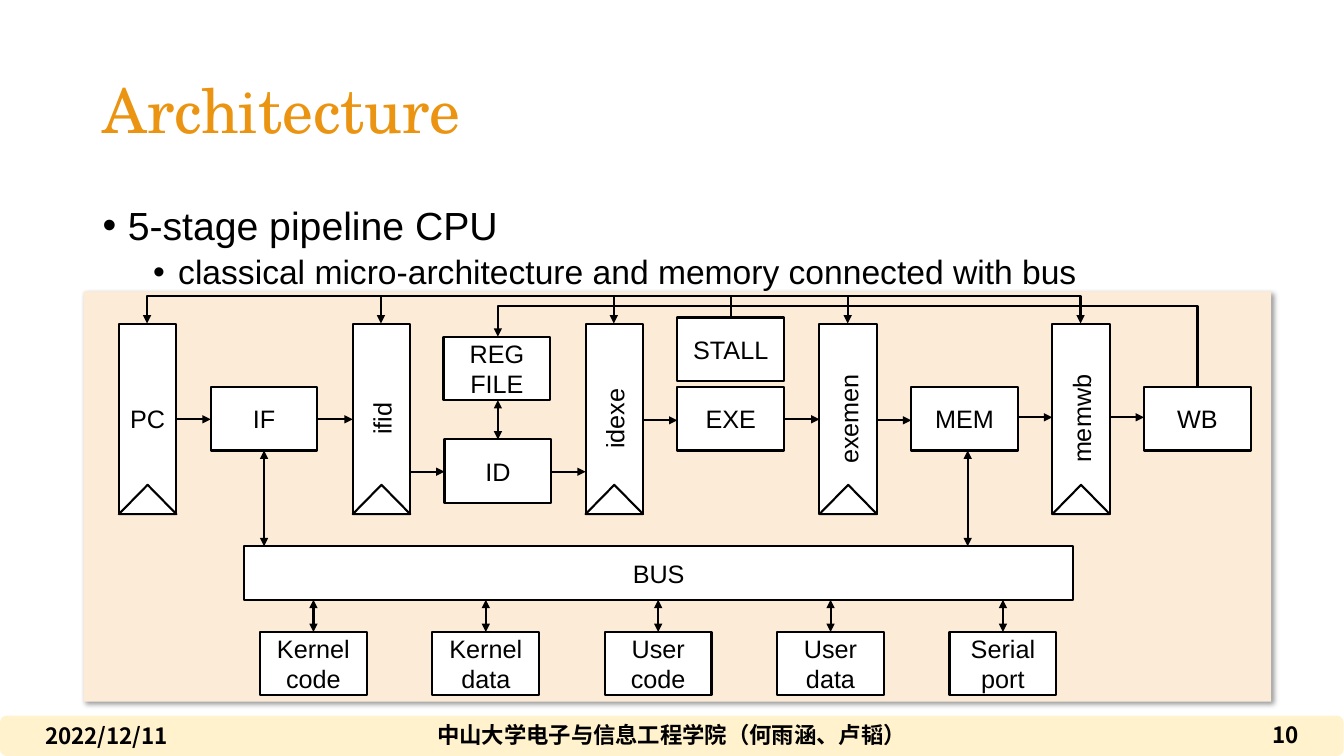
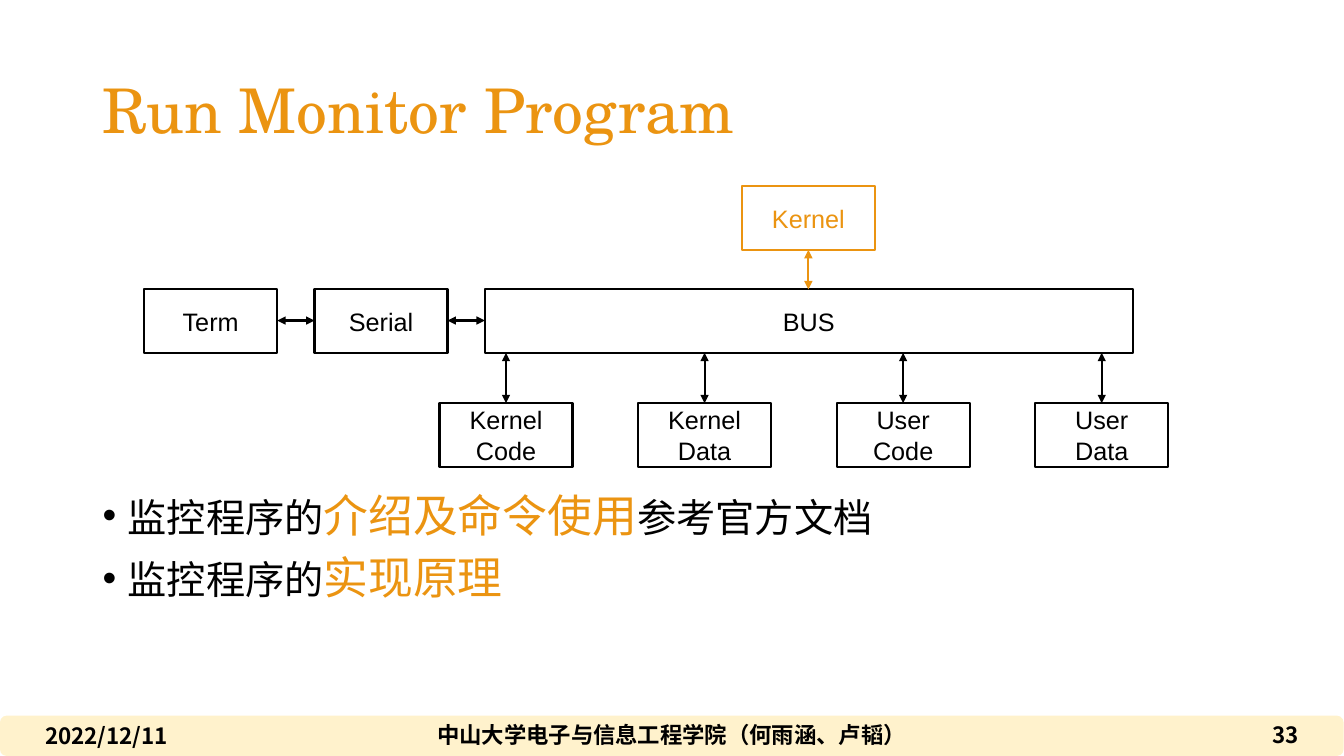
"""Build two slides on a pipeline CPU and its monitor program."""
from lxml.etree import SubElement
from pptx import Presentation
from pptx.dml.color import RGBColor
from pptx.enum.shapes import MSO_CONNECTOR, MSO_SHAPE
from pptx.enum.text import MSO_ANCHOR, MSO_AUTO_SIZE, PP_ALIGN
from pptx.oxml.ns import qn
from pptx.util import Pt

PX = 9144
BLACK, WHITE, GOLD, CREAM, PEACH = "000000", "FFFFFF", "EB9411", "FFF2CC", "FCEBD7"
SANS, HAN, SERIF = "Arial", "Noto Sans CJK SC", "TeX Gyre Schola"
LEFT, MID, RIGHT = PP_ALIGN.LEFT, PP_ALIGN.CENTER, PP_ALIGN.RIGHT

DATE = "2022/12/11"
SCHOOL = "中山大学电子与信息工程学院（何雨涵、卢韬）"

CPU_LIST = [
    (0, ["5-stage pipeline CPU"]),
    (1, ["classical micro-architecture and memory connected with bus"]),
]
LATCHES = ["PC", "ifid", "idexe", "exemen", "memwb"]
STAGES = [
    ("IF", 384, 416, 416),
    ("ID", 436, 468, 468),
    ("EXE", 384, 417, 416),
    ("MEM", 384, 417, 414),
    ("WB", 384, 414, None),
]
STORES = [["Kernel", "code"], ["Kernel", "data"], ["User", "code"],
          ["User", "data"], ["Serial", "port"]]

BIG = {"size": 32, "color": GOLD}
RUN_LIST = [
    (0, ["监控程序的", ("介绍及命令使用", BIG), "参考官方文档"]),
    (0, ["监控程序的", ("实现原理", BIG)]),
]
PARTS = [["Kernel Code"], ["Kernel Data"], ["User", "Code"], ["User", "Data"]]


def px(*nums):
    return [round(n * PX) for n in nums]


def rgb(code):
    return RGBColor.from_string(code)


def write(shape, paras, size=18, color=BLACK, font=SANS, bold=False,
          align=MID, inset=(10, 5), space=None):
    frame = shape.text_frame
    frame.word_wrap = True
    frame.auto_size = MSO_AUTO_SIZE.NONE
    frame.vertical_anchor = MSO_ANCHOR.MIDDLE
    frame.margin_left = frame.margin_right = inset[0] * PX
    frame.margin_top = frame.margin_bottom = inset[1] * PX
    for i, runs in enumerate(paras):
        para = frame.add_paragraph() if i else frame.paragraphs[0]
        para.alignment = align
        para.line_spacing = space
        for item in [runs] if isinstance(runs, str) else runs:
            words, style = (item, {}) if isinstance(item, str) else item
            run = para.add_run()
            run.text = words
            run.font.size = Pt(style.get("size", size))
            run.font.bold = bold
            run.font.color.rgb = rgb(style.get("color", color))
            run.font.name = font
            SubElement(run.font._element, qn("a:ea"), typeface=HAN)
    return frame


def label(slide, at, paras, **style):
    return write(slide.shapes.add_textbox(*px(*at)), paras, **style)


def bullets(slide, at, items):
    frame = label(slide, at, [runs for _, runs in items], size=28,
                  align=LEFT, space=0.9)
    frame.vertical_anchor = MSO_ANCHOR.TOP
    for (level, _), para in zip(items, frame.paragraphs):
        para.level = level
        para.space_before = Pt(5 if level else 10)
        if level:
            for run in para.runs:
                run.font.size = Pt(24)
        props = para._p.get_or_add_pPr()
        props.set("marL", str(px(25 + 50 * level)[0]))
        props.set("indent", str(px(-25)[0]))
        SubElement(props, qn("a:buFont"), typeface=SANS)
        SubElement(props, qn("a:buChar"), char="•")


def plate(slide, at, fill=WHITE, line=None, kind=MSO_SHAPE.RECTANGLE):
    shape = slide.shapes.add_shape(kind, *px(*at))
    shape.shadow.inherit = False
    shape.fill.solid()
    shape.fill.fore_color.rgb = rgb(fill)
    if line:
        shape.line.color.rgb = rgb(line)
        shape.line.width = Pt(1.5)
    else:
        shape.line.fill.background()
    return shape


def box(slide, at, paras, color=BLACK):
    shape = plate(slide, at, line=color)
    write(shape, paras, color=color, inset=(5, 5))
    return shape


def ink(wire, color=BLACK, both=False):
    wire.line.color.rgb = rgb(color)
    wire.line.width = Pt(1.5)
    line = wire.line._get_or_add_ln()
    for end in ["a:headEnd", "a:tailEnd"] if both else ["a:tailEnd"]:
        SubElement(line, qn(end), type="triangle")
    SubElement(wire.element.spPr, qn("a:effectLst"))


def link(slide, x1, y1, x2, y2, **style):
    wire = slide.shapes.add_connector(MSO_CONNECTOR.STRAIGHT, *px(x1, y1, x2, y2))
    ink(wire, **style)


def bend(slide, x1, y1, x2, y2, rail):
    mid_x, mid_y = (x1 + x2) / 2, (y1 + y2) / 2
    dx, dy = (x2 - x1) / 2, (y1 - y2) / 2
    ends = px(mid_x - dy, mid_y - dx, mid_x + dy, mid_y + dx)
    wire = slide.shapes.add_connector(MSO_CONNECTOR.ELBOW, *ends)
    props = wire.element.spPr
    props.find(qn("a:xfrm")).set("rot", "16200000")
    geom = props.find(qn("a:prstGeom"))
    rates = geom.find(qn("a:avLst"))
    if rates is None:
        rates = SubElement(geom, qn("a:avLst"))
    ratio = round((y1 - rail) / (y1 - y2) * 100000)
    SubElement(rates, qn("a:gd"), name="adj1", fmla=f"val {ratio}")
    ink(wire)


def latch(slide, x, name):
    body = box(slide, (x, 321, 57, 189), [name])
    if name != "PC":
        body.element.txBody.bodyPr.set("vert", "vert270")
    clock = plate(slide, (x, 481, 57, 29), line=BLACK,
                  kind=MSO_SHAPE.ISOSCELES_TRIANGLE)
    slide.shapes.add_group_shape([body, clock])


def shade(shape):
    effects = shape.element.spPr.find(qn("a:effectLst"))
    shadow = SubElement(effects, qn("a:outerShdw"), blurRad=str(Pt(4)),
                        dist=str(Pt(3)), dir="2700000", algn="tl", rotWithShape="0")
    tint = SubElement(shadow, qn("a:srgbClr"), val=BLACK)
    SubElement(tint, qn("a:alpha"), val="40000")


def start(deck, title, number):
    slide = deck.slides.add_slide(deck.slide_layouts[5])
    head = slide.shapes.title
    head.left, head.top, head.width, head.height = px(92, 40, 1150, 145)
    write(head, [title], size=44, color=GOLD, font=SERIF, align=LEFT, space=0.9)
    for at, words, align in [
        ((35, 710, 300, 40), DATE, LEFT),
        ((335, 709, 663, 40), SCHOOL, MID),
        ((998, 709, 300, 40), number, RIGHT),
    ]:
        label(slide, at, [words], size=16, font=HAN, bold=True, align=align)
    return slide


def cpu(slide):
    shade(plate(slide, (83, 289, 1178, 407), fill=PEACH))
    bullets(slide, (92, 200, 1150, 90), CPU_LIST)
    cols = [round(118 + 231.6 * i) for i in range(len(LATCHES))]
    for x, name in zip(cols, LATCHES):
        latch(slide, x, name)
    for i, (name, top, enter, leave) in enumerate(STAGES):
        x = cols[i] + 91
        box(slide, (x, top, 106, 63), [name])
        link(slide, cols[i] + 57, enter, x, enter)
        if leave:
            link(slide, x + 106, leave, cols[i + 1], leave)
    box(slide, (440, 334, 106, 63), ["REG", "FILE"])
    link(slide, 494, 436, 494, 397, both=True)
    box(slide, (242, 542, 823, 53), ["BUS"])
    for x in (262, 960):
        link(slide, x, 542, x, 447, both=True)
    for i, paras in enumerate(STORES):
        x = 258 + 171 * i
        box(slide, (x, 627, 106, 63), paras)
        link(slide, x + 53, 627, x + 53, 595, both=True)
    bend(slide, 1188, 384, 494, 334, 304)
    box(slide, (672, 315, 106, 63), ["STALL"])
    for x in cols:
        bend(slide, 725, 315, x + 28, 321, 294)


def monitor(slide):
    box(slide, (143, 287, 132, 63), ["Term"])
    box(slide, (312, 287, 132, 63), ["Serial"])
    box(slide, (736, 185, 132, 63), ["Kernel"], color=GOLD)
    box(slide, (481, 287, 643, 63), ["BUS"])
    for x in (275, 444):
        link(slide, x, 318, x + 37, 318, both=True)
    link(slide, 802, 248, 802, 287, color=GOLD, both=True)
    for i, paras in enumerate(PARTS):
        x = 436 + 197 * i
        box(slide, (x, 400, 132, 63), paras)
        link(slide, x + 66, 400, x + 66, 350, both=True)
    bullets(slide, (92, 485, 1150, 190), RUN_LIST)


def main():
    deck = Presentation()
    deck.slide_width, deck.slide_height = px(1333.33, 750)
    first = start(deck, "Architecture", "10")
    band = plate(first, (0, 710, 1333, 40), fill=CREAM,
                 kind=MSO_SHAPE.ROUNDED_RECTANGLE)
    first.slide_layout.shapes.element.append(band.element)
    cpu(first)
    monitor(start(deck, "Run Monitor Program", "33"))
    deck.save("out.pptx")


if __name__ == "__main__":
    main()
